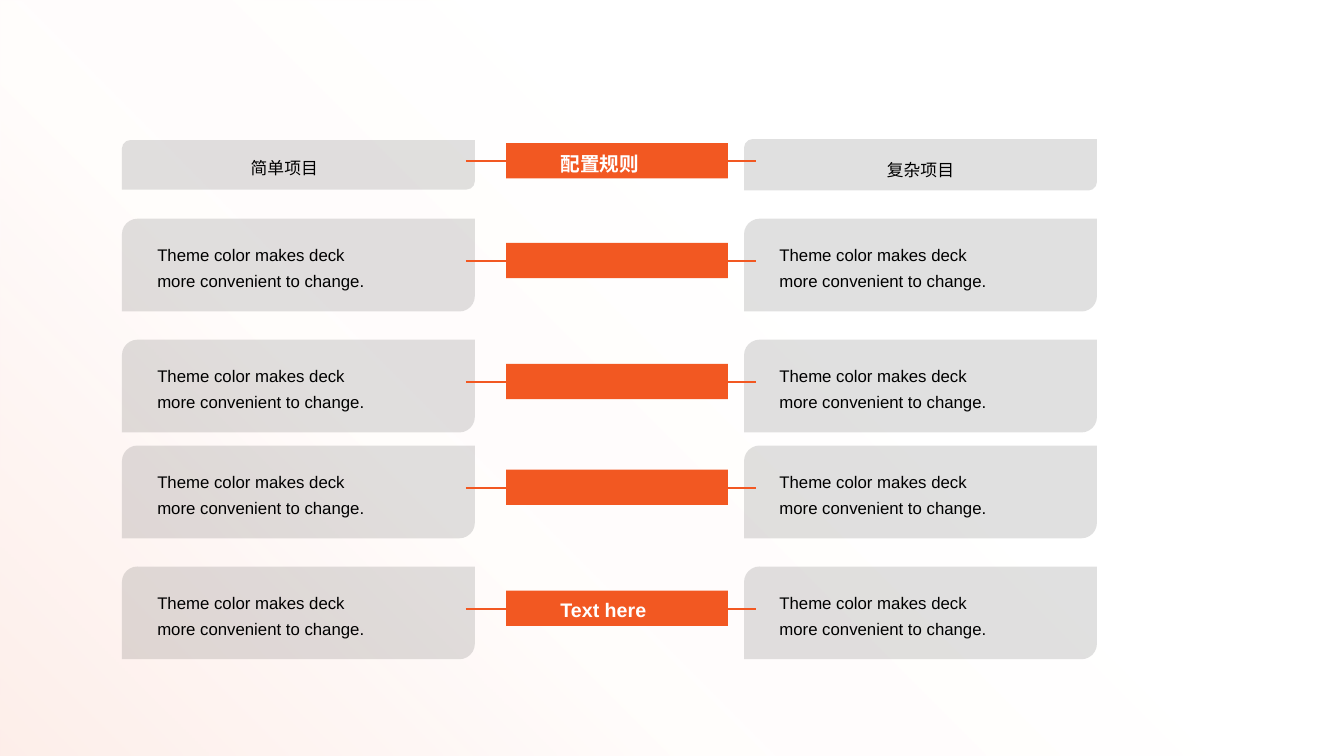
from dataclasses import dataclass

from lxml.etree import SubElement
from pptx import Presentation
from pptx.dml.color import RGBColor
from pptx.enum.shapes import MSO_CONNECTOR, MSO_SHAPE
from pptx.enum.text import MSO_AUTO_SIZE, PP_ALIGN
from pptx.oxml.ns import qn
from pptx.util import Emu, Pt

EMU_PER_PX = 9144
SLIDE_WIDTH, SLIDE_HEIGHT = 1333, 750
LEFT_COLUMN, RIGHT_COLUMN = 121, 738
CARD_WIDTH, CARD_HEIGHT = 350, 92
TEXT_WIDTH, TEXT_INDENT = 252, 35
BAR_LEFT, BAR_WIDTH, BAR_HEIGHT = 502, 220, 35
LABEL_LEFT, LABEL_WIDTH = 546, 124
LINK_SPANS = ((694, 750), (462, 517))

ORANGE = RGBColor(0xF2, 0x58, 0x22)
CHARCOAL = RGBColor(0x32, 0x32, 0x32)
BLACK = RGBColor(0x00, 0x00, 0x00)
WHITE = RGBColor(0xFF, 0xFF, 0xFF)
BLUSH = RGBColor(0xFD, 0xEE, 0xE9)
PALE_BLUSH = RGBColor(0xFE, 0xF6, 0xF4)
OFF_WHITE = RGBColor(0xFF, 0xFC, 0xFB)
BACKDROP_STOPS = (
    (0, BLUSH, 100),
    (20, PALE_BLUSH, 96),
    (33, OFF_WHITE, 80),
    (61, WHITE, 76),
    (100, WHITE, 76),
)
BODY_LINES = ("Theme color makes deck", "more convenient to change.")


@dataclass(frozen=True)
class Caption:
    """Text lines with the box that holds them."""
    lines: tuple[str, ...]
    left: int
    top: int
    width: int
    height: int


@dataclass(frozen=True)
class Card:
    """A grey panel and its caption."""
    left: int
    top: int
    height: int
    caption: Caption


@dataclass(frozen=True)
class Row:
    """Two cards linked by an orange bar."""
    bar_top: int
    cards: tuple[Card, ...]


def body_card(left: int, top: int) -> Card:
    """Describe a card with the two body lines."""
    return Card(left, top, CARD_HEIGHT, Caption(BODY_LINES, left, top + 15, TEXT_WIDTH, 62))


def body_row(top: int) -> Row:
    """Describe a body row whose cards start at top."""
    return Row(top + 24, tuple(body_card(left, top) for left in (RIGHT_COLUMN, LEFT_COLUMN)))


HEADER = Row(142, (
    Card(RIGHT_COLUMN, 138, 51, Caption(("复杂项目",), 787, 148, TEXT_WIDTH, 36)),
    Card(LEFT_COLUMN, 139, 49, Caption(("简单项目",), 156, 146, TEXT_WIDTH, 36)),
))
ROWS = (HEADER, *(body_row(top) for top in (217, 337, 442, 562)))
LABELS = (
    Caption(("Text here",), LABEL_LEFT, 581, LABEL_WIDTH, 38),
    Caption(("配置规则",), LABEL_LEFT, 139, LABEL_WIDTH, 41),
)


def px(length: int) -> Emu:
    """Turn px into EMU."""
    return Emu(length * EMU_PER_PX)


def add_alpha(color_element, percent: int) -> None:
    """Give a colour element an opacity."""
    SubElement(color_element, qn("a:alpha")).set("val", str(percent * 1000))


def add_panel(shapes, kind: MSO_SHAPE, left: int, top: int, width: int, height: int,
              color: RGBColor, opacity: int = 100):
    """Draw a flat shape without an outline."""
    panel = shapes.add_shape(kind, px(left), px(top), px(width), px(height))
    panel.shadow.inherit = False
    panel.line.fill.background()
    panel.fill.solid()
    panel.fill.fore_color.rgb = color
    if opacity < 100:
        add_alpha(panel.fill._xPr.find(qn("a:solidFill"))[0], opacity)
    return panel


def add_backdrop(shapes) -> None:
    """Cover the slide with a diagonal gradient."""
    backdrop = add_panel(shapes, MSO_SHAPE.RECTANGLE, 0, 0, SLIDE_WIDTH, SLIDE_HEIGHT, WHITE)
    backdrop.fill.gradient()
    backdrop.fill.gradient_angle = 45
    stops = backdrop.fill._xPr.find(qn("a:gradFill")).find(qn("a:gsLst"))
    for stop in list(stops):
        stops.remove(stop)
    for position, color, opacity in BACKDROP_STOPS:
        stop = SubElement(stops, qn("a:gs"))
        stop.set("pos", str(position * 1000))
        tint = SubElement(stop, qn("a:srgbClr"))
        tint.set("val", str(color))
        add_alpha(tint, opacity)


def add_text(shapes, caption: Caption, *, size: int, color: RGBColor, bold: bool = False,
             align: PP_ALIGN = PP_ALIGN.LEFT, indent: int = 10) -> None:
    """Write a caption, one paragraph a line."""
    box = shapes.add_textbox(px(caption.left), px(caption.top), px(caption.width), px(caption.height))
    frame = box.text_frame
    frame.word_wrap = True
    frame.auto_size = MSO_AUTO_SIZE.SHAPE_TO_FIT_TEXT
    frame.margin_left, frame.margin_right = px(indent), px(0 if indent > 10 else 10)
    for index, line in enumerate(caption.lines):
        para = frame.add_paragraph() if index else frame.paragraphs[0]
        para.alignment = align
        para.line_spacing = 1.3
        span = para.add_run()
        span.text = line
        span.font.name = "Arial"
        span.font.size = Pt(size)
        span.font.bold = bold
        span.font.color.rgb = color


def add_link(shapes, start: int, end: int, level: int) -> None:
    """Draw a horizontal orange line."""
    link = shapes.add_connector(MSO_CONNECTOR.STRAIGHT, px(start), px(level), px(end), px(level))
    link.line.color.rgb = ORANGE
    link.line.width = Pt(1.5)
    SubElement(link._element.spPr, qn("a:effectLst"))


def add_row(page, row: Row) -> None:
    """Draw one row as a group."""
    shapes = page.shapes.add_group_shape().shapes
    for card in row.cards:
        add_panel(shapes, MSO_SHAPE.ROUND_2_DIAG_RECTANGLE, card.left, card.top,
                  CARD_WIDTH, card.height, CHARCOAL, 15)
        is_body = len(card.caption.lines) > 1
        add_text(shapes, card.caption, size=12, color=BLACK,
                 align=PP_ALIGN.LEFT if is_body else PP_ALIGN.CENTER,
                 indent=TEXT_INDENT if is_body else 10)
    for start, end in LINK_SPANS:
        add_link(shapes, start, end, row.bar_top + 18)
    add_panel(shapes, MSO_SHAPE.RECTANGLE, BAR_LEFT, row.bar_top, BAR_WIDTH, BAR_HEIGHT, ORANGE)


def main() -> None:
    """Build and save the deck."""
    deck = Presentation()
    deck.slide_width, deck.slide_height = px(SLIDE_WIDTH), px(SLIDE_HEIGHT)
    page = deck.slides.add_slide(deck.slide_layouts[6])
    add_backdrop(page.shapes)
    for row in reversed(ROWS):
        add_row(page, row)
    for label in LABELS:
        add_text(page.shapes, label, size=14, color=WHITE, bold=True)
    deck.save("out.pptx")


if __name__ == "__main__":
    main()
